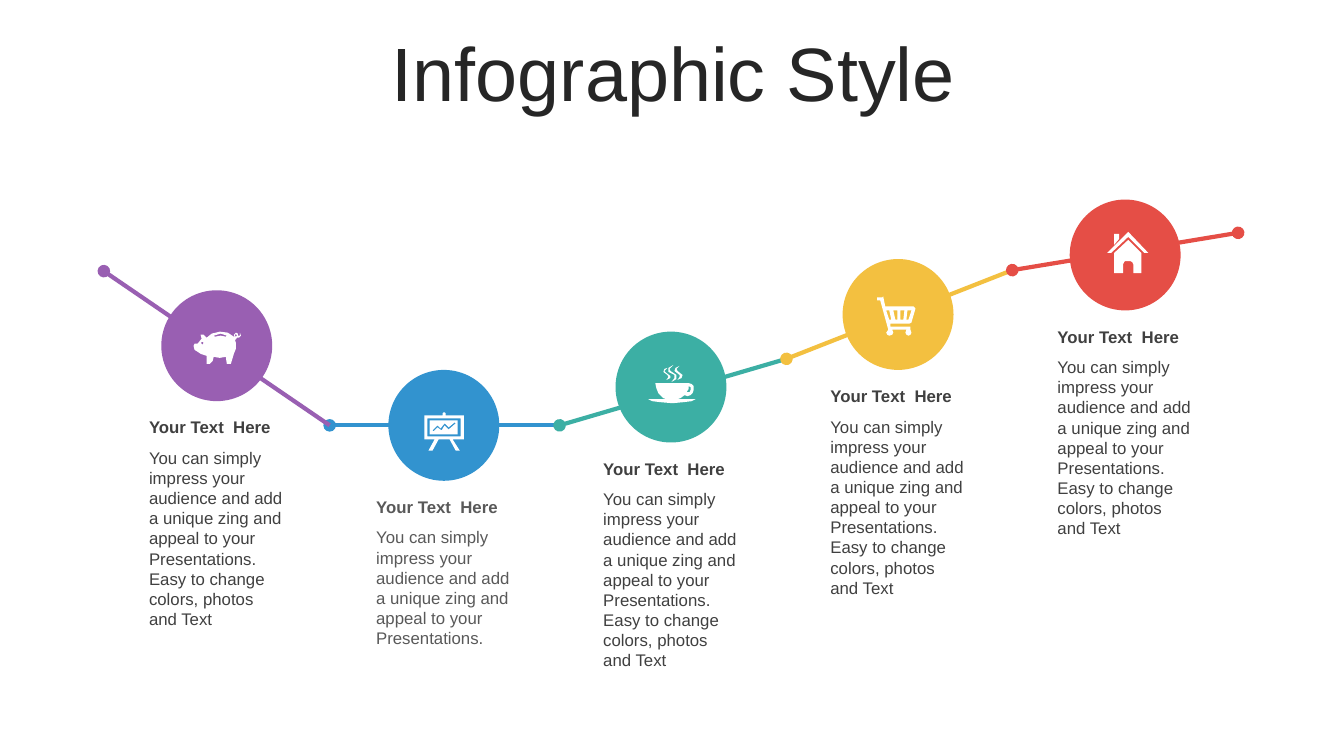
from lxml import etree
from pptx import Presentation
from pptx.dml.color import RGBColor
from pptx.enum.shapes import MSO_CONNECTOR, MSO_SHAPE
from pptx.enum.text import MSO_ANCHOR, MSO_AUTO_SIZE, PP_ALIGN
from pptx.oxml.ns import qn
from pptx.util import Inches, Pt

STRAIGHT = MSO_CONNECTOR.STRAIGHT
OVAL = MSO_SHAPE.OVAL
MIDDLE = MSO_ANCHOR.MIDDLE
GROW = MSO_AUTO_SIZE.SHAPE_TO_FIT_TEXT
CENTER = PP_ALIGN.CENTER

COLORS = {
    "purple": "995FB2", "blue": "3293CF", "teal": "3CAFA4",
    "yellow": "F3C040", "red": "E54E46", "white": "FFFFFF",
    "title": "262626", "dark": "404040", "gray": "595959",
}
FONT = "Arial"
COLUMN = 2.2525      # distance between neighbouring steps
DISC_LEFT, DISC = 1.6, 1.1
TEXT_LEFT, TEXT_WIDTH = 1.38, 1.53
HEADING_DROP, HEADING_HEIGHT = 1.21, 0.3
ICON_UNIT = Inches(0.01)

HEADING = "Your Text  Here"
SHORT = ("You can simply impress your audience and add a unique zing "
         "and appeal to your Presentations.")
LONG = SHORT + " Easy to change colors, photos and Text"

# Icon outlines in hundredths of an inch; inner contours cut holes.
PIG = [
    [(26, 0), (34, 1), (40, 5), (41, 7), (40, 3), (42, 1), (44, 2), (44, 4),
     (46, 4), (46, 1), (47, 4), (45, 6), (43, 6), (42, 8), (41, 8), (42, 11),
     (42, 17), (40, 22), (37, 32), (33, 32), (32, 25), (26, 26), (20, 25),
     (19, 29), (16, 32), (13, 32), (13, 24), (7, 22), (1, 18), (0, 14),
     (1, 12), (4, 12), (8, 7), (7, 3), (10, 3), (13, 6), (18, 2)],
    [(9, 10), (7, 11), (9, 13), (10, 11)],
    [(42, 2), (41, 4), (42, 5), (43, 4)],
    [(27, 2), (20, 4), (21, 5), (27, 4), (32, 5), (33, 4)],
]
BOARD = [
    [(18, 1), (19, 0), (20, 0), (21, 1), (21, 3), (39, 3), (39, 27), (28, 27),
     (35, 38), (31, 38), (25, 27), (14, 27), (8, 38), (4, 38), (10, 27),
     (0, 27), (0, 3), (18, 3)],
    [(3, 6), (3, 24), (36, 24), (36, 6)],
    [(5, 8), (33, 8), (33, 22), (5, 22)],
    [(30, 10), (24, 15), (20, 11), (16, 16), (13, 13), (8, 18), (9, 19),
     (13, 15), (17, 18), (20, 13), (24, 17), (31, 11)],
]
CUP = [
    [(7, 18), (40, 18), (43, 19), (45, 21), (45, 25), (44, 28), (42, 30),
     (39, 31), (36, 30), (32, 33), (29, 34), (47, 34), (43, 36), (35, 37),
     (24, 38), (12, 37), (4, 36), (0, 34), (18, 34), (15, 33), (10, 28),
     (8, 23)],
    [(40, 21), (40, 24), (38, 27), (41, 27), (42, 25), (42, 22)],
    [(19, 3), (16, 6), (18, 8), (22, 11), (22, 13), (18, 15), (20, 12),
     (19, 10), (15, 7), (16, 4)],
    [(25, 0), (21, 4), (22, 6), (28, 10), (28, 14), (23, 17), (26, 13),
     (26, 10), (20, 7), (20, 3)],
    [(31, 1), (28, 4), (29, 6), (34, 10), (33, 13), (29, 15), (31, 12),
     (31, 10), (26, 6), (27, 3)],
]
CART = [
    [(6, 0), (8, 10), (36, 10), (38, 12), (34, 26), (32, 27), (13, 27),
     (13, 30), (33, 30), (33, 33), (34, 36), (33, 38), (31, 39), (29, 38),
     (28, 36), (29, 33), (15, 33), (16, 36), (15, 38), (12, 39), (10, 38),
     (9, 36), (11, 33), (3, 4), (0, 4), (0, 1), (5, 1)],
    [(30, 14), (29, 23), (31, 23), (34, 14)],
    [(23, 14), (23, 23), (26, 23), (27, 14)],
    [(16, 14), (18, 23), (20, 23), (20, 14)],
    [(9, 14), (12, 23), (14, 23), (12, 14)],
]
HOUSE = [
    [(21, 8), (34, 21), (34, 41), (26, 41), (26, 32), (25, 30), (23, 29),
     (18, 29), (17, 30), (16, 32), (16, 41), (7, 41), (7, 21)],
    [(7, 2), (12, 2), (12, 7), (7, 13)],
    [(21, 0), (41, 21), (37, 21), (21, 5), (4, 21), (0, 21)],
]

# color, disc top, icon, icon corner, text color, body text, body height
STEPS = [
    ("purple", 2.88, PIG, (1.92, 3.29), "dark", LONG, 1.92),
    ("blue", 3.67, BOARD, (4.21, 4.09), "gray", SHORT, 1.31),
    ("teal", 3.29, CUP, (6.43, 3.62), "dark", LONG, 1.92),
    ("yellow", 2.57, CART, (8.7, 2.94), "dark", LONG, 1.92),
    ("red", 1.98, HOUSE, (10.98, 2.3), "dark", LONG, 1.92),
]
NODES = [(1.03, 2.69), (3.27, 4.22), (5.55, 4.22), (7.8, 3.56),
         (10.04, 2.68), (12.28, 2.31)]


def paint(sp, color):
    sp.shadow.inherit = False
    sp.fill.solid()
    sp.fill.fore_color.rgb = RGBColor.from_string(COLORS[color])
    sp.line.fill.background()


def add_run(p, text, size, color, bold=False):
    r = p.add_run()
    r.text = text
    r.font.name = FONT
    r.font.size = Pt(size)
    r.font.bold = bold
    r.font.color.rgb = RGBColor.from_string(COLORS[color])


prs = Presentation()
prs.slide_width, prs.slide_height = Inches(13.33), Inches(7.5)
s = prs.slides.add_slide(prs.slide_layouts[5])

title = s.shapes.title
title.left, title.top = Inches(0.35), Inches(0.37)
title.width, title.height = Inches(12.66), Inches(0.79)
tf = title.text_frame
tf.auto_size = MSO_AUTO_SIZE.NONE
tf.vertical_anchor = MIDDLE
p = tf.paragraphs[0]
p.alignment = CENTER
p.line_spacing = 0.9
add_run(p, "Infographic Style", 54, "title")

# The purple segment comes last so that it lies over the blue node.
for i in (1, 2, 3, 4, 0):
    start, end = NODES[i], NODES[i + 1]
    segment = s.shapes.add_connector(
        STRAIGHT, *(Inches(v) for v in start + end))
    segment.line.width = Pt(3)
    segment.line.color.rgb = RGBColor.from_string(COLORS[STEPS[i][0]])
    ln = segment.line._get_or_add_ln()
    etree.SubElement(ln, qn("a:headEnd"), type="oval")
    if end == NODES[-1]:
        etree.SubElement(ln, qn("a:tailEnd"), type="oval")
    etree.SubElement(segment._element.spPr, qn("a:effectLst"))

for i, (color, top, icon, corner, ink, body, body_height) in enumerate(STEPS):
    disc = s.shapes.add_shape(OVAL, Inches(DISC_LEFT + i * COLUMN),
                              Inches(top), Inches(DISC), Inches(DISC))
    paint(disc, color)

    outline = s.shapes.build_freeform(*icon[0][0], scale=ICON_UNIT)
    for contour in icon:
        outline.move_to(*contour[0])
        outline.add_line_segments(contour[1:], close=True)
    paint(outline.convert_to_shape(*(Inches(v) for v in corner)), "white")

    heading_top = top + HEADING_DROP
    for text, y, height, bold in (
            (HEADING, heading_top, HEADING_HEIGHT, True),
            (body, heading_top + HEADING_HEIGHT, body_height, False)):
        box = s.shapes.add_textbox(Inches(TEXT_LEFT + i * COLUMN), Inches(y),
                                   Inches(TEXT_WIDTH), Inches(height))
        tf = box.text_frame
        tf.word_wrap = True
        tf.auto_size = GROW
        add_run(tf.paragraphs[0], text, 12, ink, bold)

prs.save("out.pptx")
